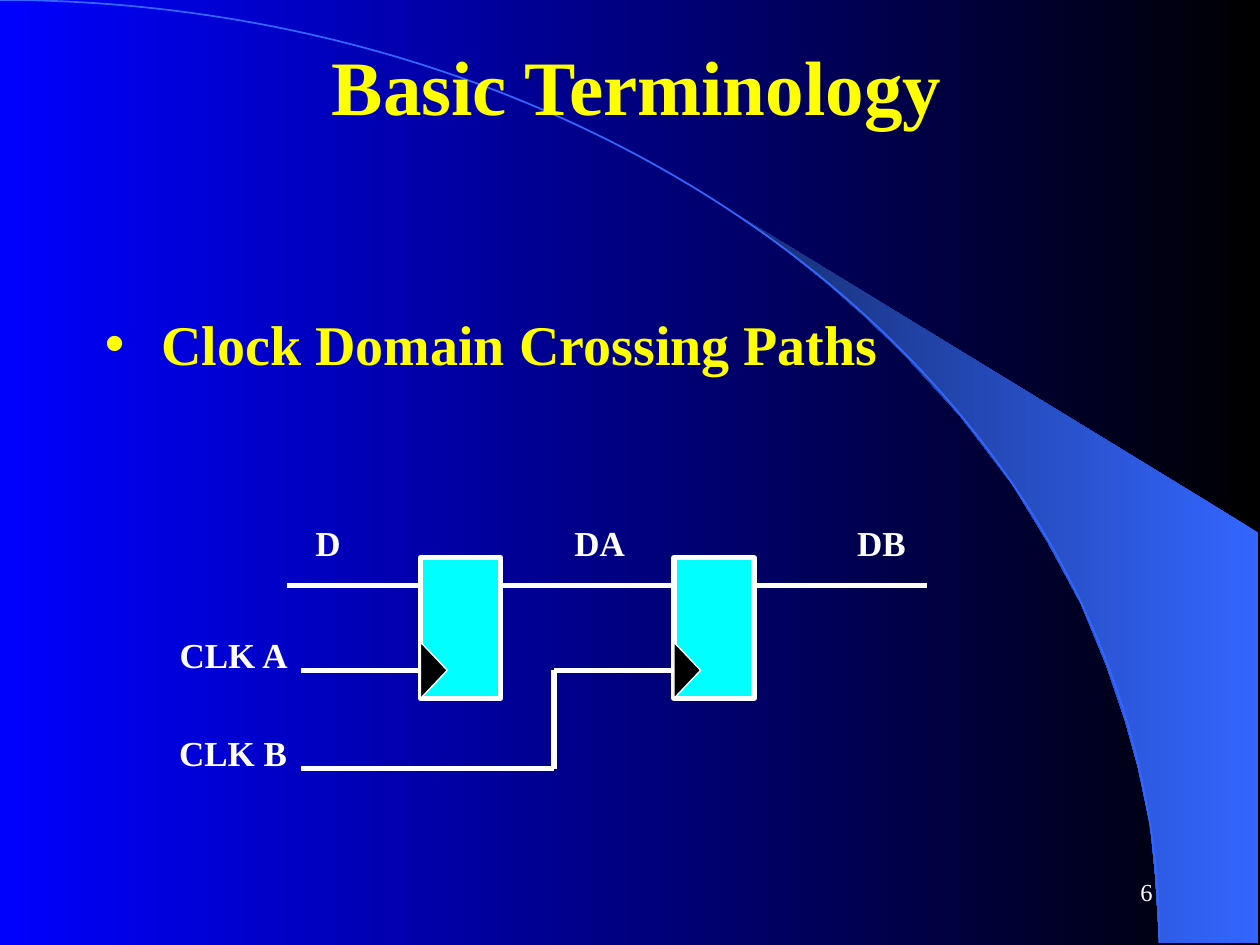
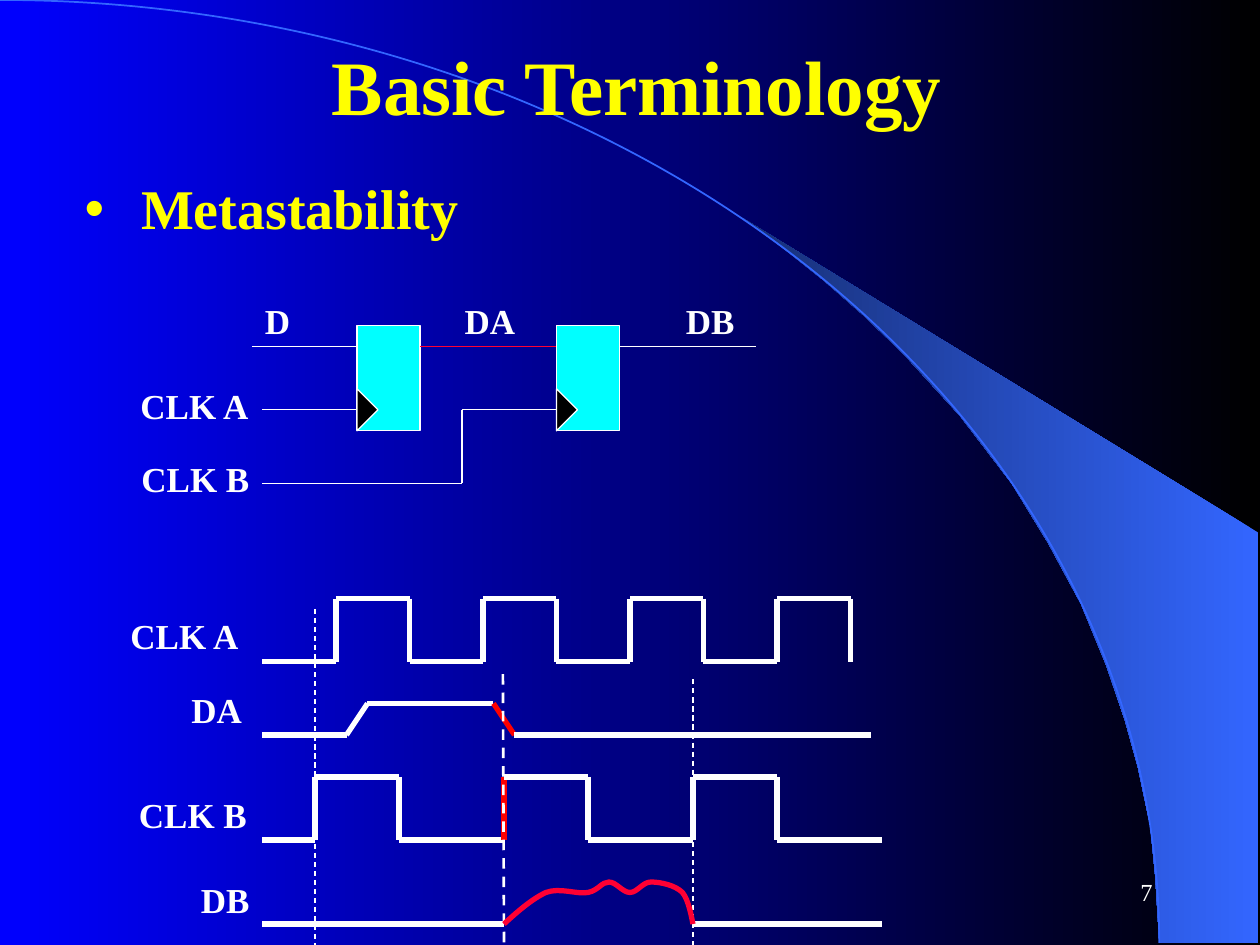
"""Build two slides on clock domain crossing: circuits, waveforms and a shared blue theme."""
from itertools import pairwise

from lxml.etree import SubElement
from pptx import Presentation
from pptx.dml.color import RGBColor
from pptx.enum.dml import MSO_LINE
from pptx.enum.shapes import MSO_CONNECTOR, MSO_SHAPE
from pptx.enum.text import MSO_ANCHOR, MSO_AUTO_SIZE, PP_ALIGN
from pptx.oxml.ns import qn
from pptx.util import Cm, Pt

COLORS = {
    "black": "000000", "blue": "0000FF", "sky": "3366FF", "navy": "172F75",
    "yellow": "FFFF00", "white": "FFFFFF", "cyan": "00FFFF",
    "red": "FF0000", "crimson": "FF0033",
}
RGB = {name: RGBColor.from_string(value) for name, value in COLORS.items()}
GRID = 2.54 / 12

FORMATS = {
    "title": {"size": Pt(44), "bold": True, "color": "yellow", "align": PP_ALIGN.CENTER},
    "list": {"size": Pt(32), "bold": True, "color": "yellow", "align": PP_ALIGN.LEFT},
    "label": {"size": Pt(20), "bold": True, "color": "white", "align": PP_ALIGN.RIGHT},
    "number": {"size": Pt(14), "bold": False, "color": "white", "align": PP_ALIGN.RIGHT},
}
LABEL_WIDTHS = {"CLK A": 2.72, "CLK B": 2.69, "D": 1.02, "DA": 1.52, "DB": 1.47}

SLIDES = [
    {
        "number": "6", "topic": "Clock Domain Crossing Paths",
        "list": (0, 6.12, 19.84, 1.63), "indent": 3.0,
        "origin": (5.79, 11.81), "scale": (1.27 * GRID, 1.34 * GRID),
        "weight": 3, "crossing": "white",
        "labels": [("CLK A", 3.33, 12.65), ("CLK B", 3.35, 14.63), ("D", 6.1, 10.39),
                   ("DA", 11.33, 10.39), ("DB", 17.04, 10.39)],
    },
    {
        "number": "7", "topic": "Metastability",
        "list": (0, 3.38, 11.23, 1.63), "indent": 2.59,
        "origin": (5.08, 6.99), "scale": (GRID, GRID),
        "weight": 0.75, "crossing": "crimson",
        "labels": [("CLK A", 2.54, 7.62), ("CLK B", 2.59, 9.09), ("D", 5.08, 5.92),
                   ("DA", 9.12, 5.92), ("DB", 13.59, 5.92),
                   ("CLK A", 2.34, 12.27), ("DA", 3.61, 13.76),
                   ("CLK B", 2.54, 15.88), ("DB", 3.81, 17.58)],
    },
]


def write(box, text, place, style, anchor=MSO_ANCHOR.TOP, wrap=True):
    for side, length in zip(("left", "top", "width", "height"), place):
        setattr(box, side, Cm(length))
    frame = box.text_frame
    frame.text = text
    settings = {"auto_size": MSO_AUTO_SIZE.NONE, "word_wrap": wrap, "vertical_anchor": anchor}
    for name, value in settings.items():
        setattr(frame, name, value)
    para = frame.paragraphs[0]
    para.alignment = FORMATS[style]["align"]
    para.space_before = Pt(0)
    span = para.runs[0]
    span.font.name = "Times New Roman"
    for name in ("size", "bold"):
        setattr(span.font, name, FORMATS[style][name])
    span.font.color.rgb = RGB[FORMATS[style]["color"]]
    return para


def draw_line(page, start, end, color="white", weight=3, dash=None):
    ends = [Cm(length) for length in (*start, *end)]
    connector = page.shapes.add_connector(MSO_CONNECTOR.STRAIGHT, *ends)
    connector.line.color.rgb = RGB[color]
    connector.line.width = Pt(weight)
    connector.line.dash_style = dash
    SubElement(connector.element.spPr, qn("a:effectLst"))


deck = Presentation()
deck.slide_width, deck.slide_height = Cm(25.4), Cm(19.05)
pages = [deck.slides.add_slide(deck.slide_layouts[1]) for _ in SLIDES]

swoosh_points = [
    (23.37, 19), (25.37, 19.02), (25.37, 10.74), (14.96, 4.39), (15.85, 5.05),
    (16.59, 5.64), (17.4, 6.35), (18.19, 7.11), (19.35, 8.38), (20.4, 9.75),
    (21.13, 10.95), (21.79, 12.17), (22.3, 13.41), (22.68, 14.53), (22.94, 15.47),
    (23.19, 16.66), (23.29, 17.68),
]
swoosh_points = [(Cm(x), Cm(y)) for x, y in swoosh_points]
builder = pages[0].shapes.build_freeform(*swoosh_points[0])
builder.add_line_segments(swoosh_points[1:], close=True)
swoosh = builder.convert_to_shape()
swoosh.line.fill.background()
arc = pages[0].shapes.add_shape(MSO_SHAPE.ARC, Cm(-23.37), Cm(0), Cm(46.74), Cm(38.02))
arc.fill.background()
arc.line.color.rgb = RGB["sky"]
arc.line.width = Pt(1)

master = deck.slide_master
for fill, colors in ((master.background.fill, ("black", "blue")), (swoosh.fill, ("sky", "navy"))):
    fill.gradient()
    fill.gradient_angle = 180
    for stop, color in zip(fill.gradient_stops, colors):
        stop.color.rgb = RGB[color]
for position, decoration in enumerate((swoosh, arc), start=2):
    decoration.shadow.inherit = False
    master.shapes.element.insert(position, decoration.element)

for page, content in zip(pages, SLIDES):
    write(page.shapes.title, "Basic Terminology", (6.35, 0.64, 12.98, 2.13), "title")
    para = write(page.placeholders[1], content["topic"], content["list"], "list")
    properties = para._p.get_or_add_pPr()
    properties.set("marL", str(Cm(content["indent"])))
    properties.set("indent", str(Cm(-1.14)))
    bullet_color = SubElement(properties, qn("a:buClr"))
    SubElement(bullet_color, qn("a:srgbClr")).set("val", COLORS["yellow"])
    SubElement(properties, qn("a:buChar")).set("char", "•")

    left, top = content["origin"]
    across, down = content["scale"]
    weight = content["weight"]
    for column in (10, 29):
        x = left + column * across
        width, height = 4 * down, 2 * across
        center_x, center_y = x + across, top + 6 * down
        parts = [
            (MSO_SHAPE.RECTANGLE, x, top - 2 * down, 6 * across, 10 * down, 0, "cyan", weight),
            (MSO_SHAPE.ISOSCELES_TRIANGLE, center_x - width / 2, center_y - height / 2,
             width, height, 90, "black", 0.75),
        ]
        for kind, *place, rotation, color, outline in parts:
            part = page.shapes.add_shape(kind, *[Cm(length) for length in place])
            part.rotation = rotation
            part.shadow.inherit = False
            part.fill.solid()
            part.fill.fore_color.rgb = RGB[color]
            part.line.color.rgb = RGB["white"]
            part.line.width = Pt(outline)

    wires = [
        ((1, 6), (10, 6), "white"), ((20, 6), (29, 6), "white"),
        ((20, 6), (20, 13), "white"), ((20, 13), (1, 13), "white"),
        ((0, 0), (10, 0), "white"), ((16, 0), (29, 0), content["crossing"]),
        ((35, 0), (48, 0), "white"),
    ]
    for *ends, color in wires:
        start, end = [(left + x * across, top + y * down) for x, y in ends]
        draw_line(page, start, end, color, weight)

    for text, x, y in content["labels"]:
        box = page.shapes.add_textbox(0, 0, 0, 0)
        write(box, text, (x, y, LABEL_WIDTHS[text], 1.12), "label", wrap=False)
    box = page.shapes.add_textbox(0, 0, 0, 0)
    write(box, content["number"], (18.21, 17.35, 5.28, 1.27), "number", MSO_ANCHOR.MIDDLE)

page = pages[1]
clock_waves = []
for edges, low, high, finish in (
    (range(32, 82, 7), 63, 57, None),
    ((30, 38, 48, 56, 66, 74), 80, 74, 84),
):
    wave = [(25, low)]
    for index, x in enumerate(edges):
        wave += [(x, high), (x, low)] if index % 2 else [(x, low), (x, high)]
    if finish:
        wave.append((finish, low))
    clock_waves.append(wave)
data_wave = [(25, 70), (33, 70), (35, 67), (47, 67), (49, 70), (83, 70)]
unstable_edges = [((47, 67), (49, 70)), ((48, 80), (48, 74))]

for x, y in ((30, 58), (66, 64.7)):
    draw_line(page, (x * GRID, y * GRID), (x * GRID, 19.05), "white", 0.75, MSO_LINE.DASH)
for wave in (*clock_waves, data_wave, [(25, 88), (48, 88)], [(66, 88), (84, 88)]):
    for segment in pairwise(wave):
        start, end = [(x * GRID, y * GRID) for x, y in segment]
        draw_line(page, start, end, "red" if segment in unstable_edges else "white")
draw_line(page, (47.9 * GRID, 64.2 * GRID), (48 * GRID, 19.05), "white", 1.5, MSO_LINE.DASH)

ripple_points = [
    (48, 88), (49.3, 86.8), (50.7, 85.6), (52, 85), (53.3, 84.5), (55, 85.2), (56, 85),
    (57, 84.8), (57.3, 84), (58, 84), (58.7, 84), (59.3, 85), (60, 85),
    (60.7, 85), (61.2, 84), (62, 84), (62.9, 84), (64.3, 84.3), (65, 85),
    (65.6, 85.7), (65.9, 87.5), (66, 88),
]
ripple_points = [(Cm(x * GRID), Cm(y * GRID)) for x, y in ripple_points]
builder = page.shapes.build_freeform(*ripple_points[0])
builder.add_line_segments(ripple_points[1:], close=False)
ripple = builder.convert_to_shape()
ripple.shadow.inherit = False
ripple.fill.background()
ripple.line.color.rgb = RGB["crimson"]
ripple.line.width = Pt(3)
outline = ripple.element.find(".//" + qn("a:path"))
corners = outline.findall(qn("a:lnTo"))
for first in range(0, len(corners), 3):
    curve = SubElement(outline, qn("a:cubicBezTo"))
    for corner in corners[first:first + 3]:
        curve.append(corner[0])
        outline.remove(corner)

deck.save("out.pptx")
